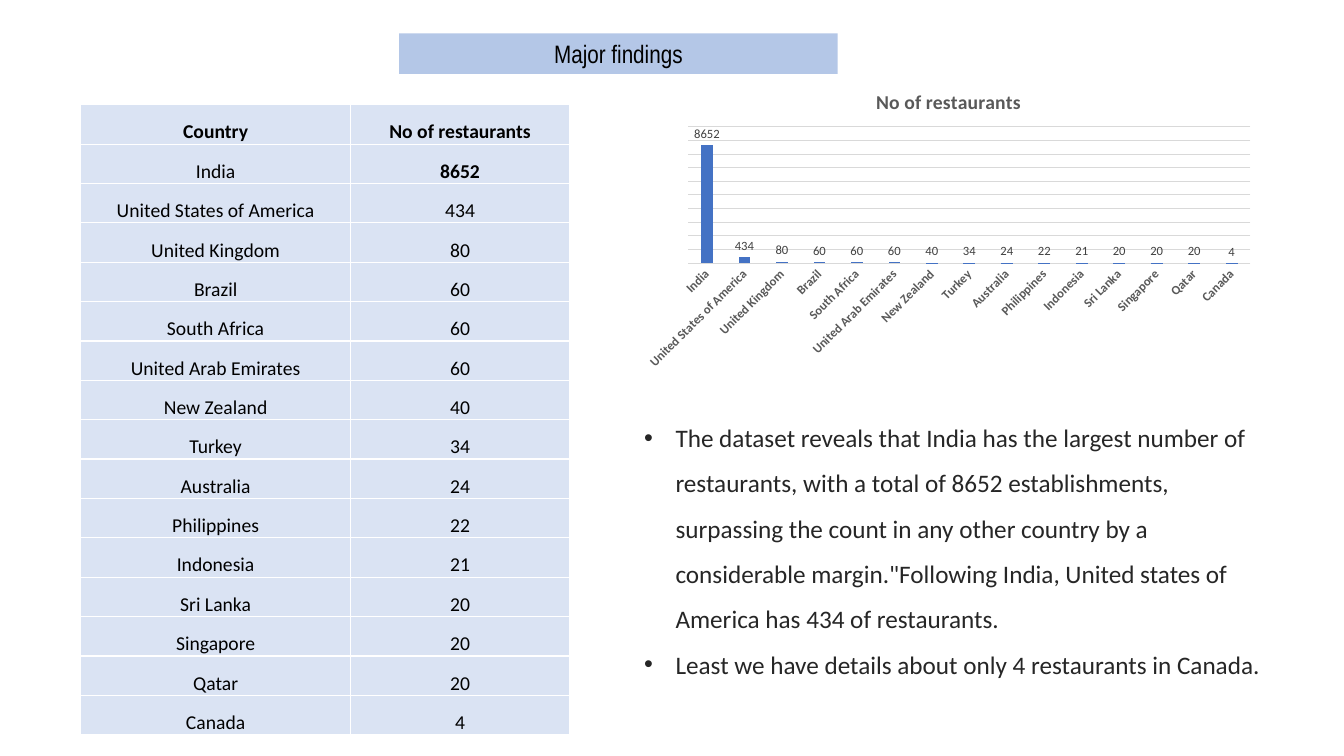
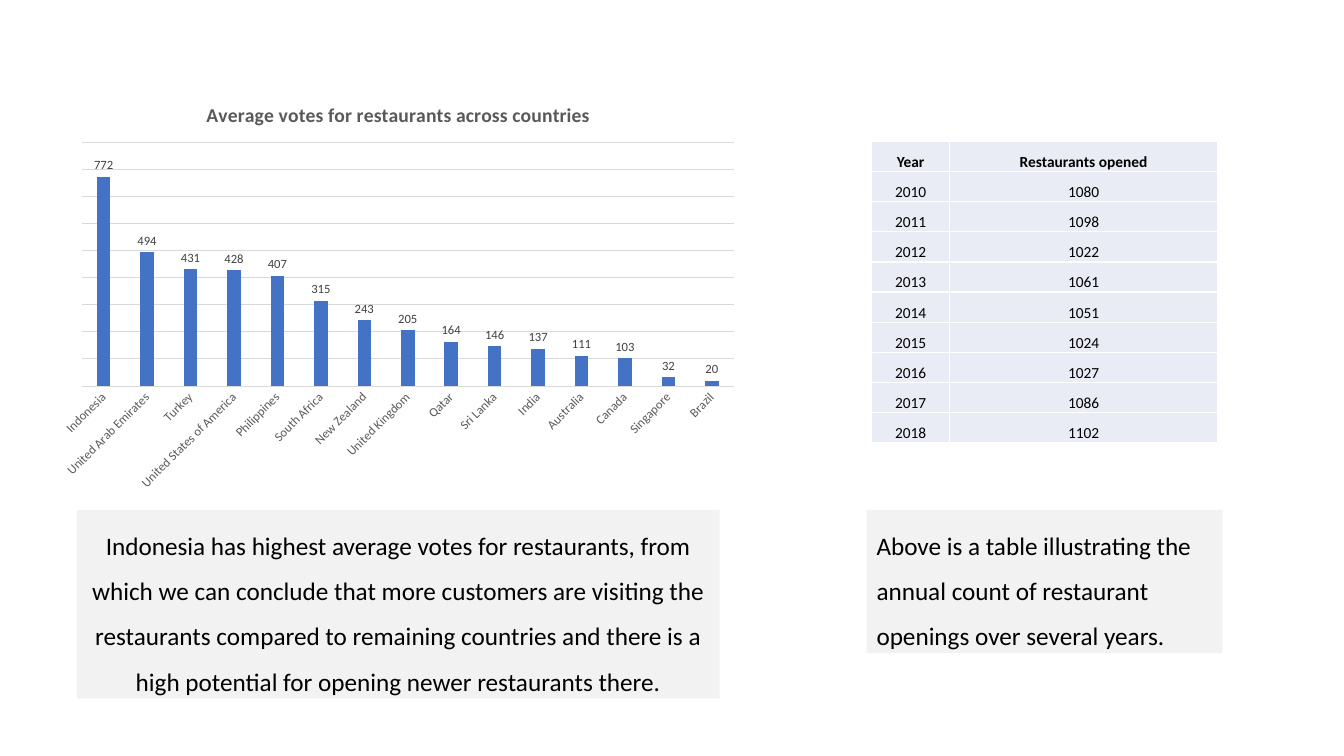
"""Build two slides of restaurant findings: counts, average votes and openings."""
from dataclasses import dataclass
from typing import Any

import lxml.etree
import pptx
import pptx.chart.data
import pptx.dml.color
import pptx.enum.chart
import pptx.enum.shapes
import pptx.enum.text
import pptx.oxml
import pptx.oxml.ns
import pptx.util

Cm = pptx.util.Cm
Pt = pptx.util.Pt
ALIGN = pptx.enum.text.PP_ALIGN
ANCHOR = pptx.enum.text.MSO_ANCHOR


@dataclass(frozen=True)
class Theme:
    """Colours, fonts and type sizes of the deck."""
    black: str = "000000"
    body_text: str = "262626"
    label_text: str = "404040"
    axis_text: str = "595959"
    grid: str = "D9D9D9"
    bar: str = "4472C4"
    title_band: str = "B4C7E7"
    count_fill: str = "DAE3F3"
    year_fill: str = "E9EBF5"
    caption_fill: str = "F2F2F2"
    border: str = "FFFFFF"
    title_font: str = "Arial Narrow"
    body_font: str = "Calibri"
    body_size: int = 18
    chart_title_size: int = 14
    chart_label_size: int = 9


THEME = Theme()


@dataclass(frozen=True)
class Box:
    """A place on the slide in centimetres."""
    left: float
    top: float
    width: float
    height: float

    def lengths(self) -> tuple:
        """Return left, top, width and height as lengths."""
        return tuple(Cm(v) for v in (self.left, self.top, self.width, self.height))


@dataclass(frozen=True)
class Caption:
    """A shaded paragraph below a chart or table."""
    box: Box
    text: str
    align: Any


@dataclass(frozen=True)
class TableLook:
    """Place, column widths, type size and fill of a table."""
    box: Box
    columns: tuple[float, ...]
    size: int
    fill: str
    bold_cells: frozenset = frozenset()


@dataclass(frozen=True)
class ColumnChart:
    """Content and scale of a column chart."""
    box: Box
    title: str
    series: str
    values: dict[str, int]
    top: int
    step: int
    bold_axis: bool = False


RESTAURANTS = {
    "India": 8652, "United States of America": 434, "United Kingdom": 80,
    "Brazil": 60, "South Africa": 60, "United Arab Emirates": 60,
    "New Zealand": 40, "Turkey": 34, "Australia": 24, "Philippines": 22,
    "Indonesia": 21, "Sri Lanka": 20, "Singapore": 20, "Qatar": 20, "Canada": 4,
}
VOTES = {
    "Indonesia": 772, "United Arab Emirates": 494, "Turkey": 431,
    "United States of America": 428, "Philippines": 407, "South Africa": 315,
    "New Zealand": 243, "United Kingdom": 205, "Qatar": 164, "Sri Lanka": 146,
    "India": 137, "Australia": 111, "Canada": 103, "Singapore": 32, "Brazil": 20,
}
OPENINGS = dict(zip(range(2010, 2019),
                    (1080, 1098, 1022, 1061, 1051, 1024, 1027, 1086, 1102)))
FINDINGS = (
    "The dataset reveals that India has the largest number of restaurants, with a total "
    "of 8652 establishments, surpassing the count in any other country by a considerable "
    "margin.\"Following India, United states of America has 434 of restaurants.",
    "Least we have details about only 4 restaurants in Canada.",
)
CAPTIONS = (
    Caption(Box(1.93, 12.85, 16.21, 4.75),
            "Indonesia has highest average votes for restaurants, from which we can conclude "
            "that more customers are visiting the restaurants compared to remaining countries "
            "and there is a high potential for opening newer restaurants there.", ALIGN.CENTER),
    Caption(Box(21.84, 12.85, 8.97, 3.61),
            "Above is a table illustrating the annual count of restaurant openings over "
            "several years.", ALIGN.LEFT),
)


def apply(target: Any, formats: dict[str, Any]) -> None:
    """Set each named attribute on the target."""
    for name, value in formats.items():
        setattr(target, name, value)


def rgb(colour: str) -> pptx.dml.color.RGBColor:
    """Turn a hex string into a colour."""
    return pptx.dml.color.RGBColor.from_string(colour)


def style_font(font: Any, size: int, colour: str, bold: bool = False,
               name: str = THEME.body_font) -> None:
    """Set face, size, weight and colour of a font."""
    apply(font, {"name": name, "size": Pt(size), "bold": bold})
    font.color.rgb = rgb(colour)


def fill_solid(target: Any, colour: str) -> None:
    """Give a shape, cell or bar one plain fill."""
    target.fill.solid()
    target.fill.fore_color.rgb = rgb(colour)


def place(shape: Any, box: Box) -> None:
    """Move and size a shape."""
    apply(shape, dict(zip(("left", "top", "width", "height"), box.lengths())))


def add_title(slide: Any, text: str, box: Box) -> None:
    """Fill the title placeholder and shade it as a band."""
    heading = slide.shapes.title
    place(heading, box)
    fill_solid(heading, THEME.title_band)
    heading.text_frame.text = text
    apply(heading.text_frame, {"auto_size": pptx.enum.text.MSO_AUTO_SIZE.NONE,
                               "vertical_anchor": ANCHOR.MIDDLE})
    line = heading.text_frame.paragraphs[0]
    line.alignment = ALIGN.CENTER
    style_font(line.font, THEME.body_size, THEME.black, name=THEME.title_font)


def add_findings(slide: Any, findings: tuple[str, ...], box: Box) -> None:
    """Fill the body placeholder with a bulleted list."""
    body = slide.placeholders[1]
    place(body, box)
    body.text_frame.text = "\n".join(findings)
    apply(body.text_frame, {"auto_size": pptx.enum.text.MSO_AUTO_SIZE.NONE,
                            "vertical_anchor": ANCHOR.TOP})
    for finding in body.text_frame.paragraphs:
        apply(finding, {"line_spacing": 1.5, "space_before": Pt(0), "alignment": ALIGN.LEFT})
        style_font(finding.font, THEME.body_size, THEME.body_text)
        properties = finding._p.get_or_add_pPr()
        properties.set("marL", str(Cm(0.79)))
        properties.set("indent", str(-Cm(0.79)))
        bullet = pptx.oxml.parse_xml(
            f'<a:buChar {pptx.oxml.ns.nsdecls("a")} char="•"/>')
        properties.insert_element_before(bullet, "a:tabLst", "a:defRPr", "a:extLst")


def add_caption(slide: Any, caption: Caption) -> None:
    """Draw a shaded caption."""
    panel = slide.shapes.add_shape(
        pptx.enum.shapes.MSO_SHAPE.RECTANGLE, *caption.box.lengths())
    panel.shadow.inherit = False
    fill_solid(panel, THEME.caption_fill)
    panel.line.fill.background()
    apply(panel.text_frame, {"word_wrap": True, "vertical_anchor": ANCHOR.TOP})
    panel.text_frame.text = caption.text
    line = panel.text_frame.paragraphs[0]
    apply(line, {"alignment": caption.align, "line_spacing": 1.5})
    style_font(line.font, THEME.body_size, THEME.black)


def border_cell(cell: Any) -> None:
    """Draw a thin line on all four sides of a cell."""
    properties = cell._tc.get_or_add_tcPr()
    for position, side in enumerate(("lnL", "lnR", "lnT", "lnB")):
        properties.insert(position, pptx.oxml.parse_xml(
            f'<a:{side} {pptx.oxml.ns.nsdecls("a")} w="{Pt(1)}"><a:solidFill>'
            f'<a:srgbClr val="{THEME.border}"/></a:solidFill></a:{side}>'))


def add_pairs_table(slide: Any, header: tuple[str, str], values: dict,
                    look: TableLook) -> None:
    """Draw a two-column table with equal rows."""
    rows = [header, *values.items()]
    table = slide.shapes.add_table(
        len(rows), len(header), *look.box.lengths()).table
    table.horz_banding = False
    for column, width in zip(table.columns, look.columns):
        column.width = Cm(width)
    for r, row in enumerate(rows):
        table.rows[r].height = Cm(look.box.height / len(rows))
        for c, value in enumerate(row):
            cell = table.cell(r, c)
            cell.text = str(value)
            apply(cell, {"vertical_anchor": ANCHOR.BOTTOM, "margin_left": Cm(0.03),
                         "margin_right": Cm(0.03), "margin_top": Cm(0.03),
                         "margin_bottom": 0})
            fill_solid(cell, look.fill)
            border_cell(cell)
            line = cell.text_frame.paragraphs[0]
            line.alignment = ALIGN.CENTER
            style_font(line.font, look.size, THEME.black,
                       r == 0 or (r, c) in look.bold_cells)


def add_column_chart(slide: Any, content: ColumnChart) -> None:
    """Draw a column chart with slanted category names."""
    data = pptx.chart.data.CategoryChartData(number_format="0")
    data.categories = list(content.values)
    data.add_series(content.series, list(content.values.values()))
    chart = slide.shapes.add_chart(
        pptx.enum.chart.XL_CHART_TYPE.COLUMN_CLUSTERED, *content.box.lengths(), data).chart
    apply(chart, {"has_legend": False, "has_title": True})
    style_font(chart.font, 10, THEME.black)
    chart.chart_title.include_in_layout = False
    chart.chart_title.text_frame.text = content.title
    style_font(chart.chart_title.text_frame.paragraphs[0].runs[0].font,
               THEME.chart_title_size, THEME.axis_text, True)

    plot = chart.plots[0]
    apply(plot, {"gap_width": 219, "overlap": -27, "vary_by_categories": False,
                 "has_data_labels": True})
    apply(plot.data_labels, {"show_value": True, "number_format": "0",
                             "number_format_is_linked": False,
                             "position": pptx.enum.chart.XL_LABEL_POSITION.OUTSIDE_END})
    style_font(plot.data_labels.font, THEME.chart_label_size, THEME.label_text)
    fill_solid(plot.series[0].format, THEME.bar)

    countries, scale = chart.category_axis, chart.value_axis
    countries.major_tick_mark = pptx.enum.chart.XL_TICK_MARK.NONE
    style_font(countries.tick_labels.font, THEME.chart_label_size,
               THEME.axis_text, content.bold_axis)
    countries._element.txPr.bodyPr.set("rot", "-2700000")
    apply(scale, {"visible": False, "has_major_gridlines": True, "minimum_scale": 0,
                  "maximum_scale": content.top, "major_unit": content.step})
    for line in (countries.format.line, scale.major_gridlines.format.line):
        line.width = Pt(0.75)
        line.color.rgb = rgb(THEME.grid)


def build_findings(deck: Any) -> None:
    """Build the slide on restaurants per country."""
    slide = deck.slides.add_slide(deck.slide_layouts[1])
    add_title(slide, "Major findings", Box(10.06, 0.84, 11.05, 1.02))
    add_findings(slide, FINDINGS, Box(15.98, 10.13, 16.28, 7.06))
    add_pairs_table(slide, ("Country", "No of restaurants"), RESTAURANTS,
                    TableLook(Box(2.03, 2.64, 12.32, 15.88), (6.81, 5.51), 14,
                              THEME.count_fill, frozenset({(1, 1)})))
    add_column_chart(slide, ColumnChart(
        Box(15.98, 1.85, 15.85, 7.62), "No of restaurants", "No of restaurants",
        RESTAURANTS, 10000, 1000, True))


def build_votes(deck: Any) -> None:
    """Build the slide on average votes and yearly openings."""
    slide = deck.slides.add_slide(deck.slide_layouts[6])
    add_column_chart(slide, ColumnChart(
        Box(1.24, 2.13, 17.6, 10.44), "Average votes for restaurants across countries",
        "Average votes", VOTES, 900, 100))
    add_pairs_table(slide, ("Year", "Restaurants opened"), OPENINGS,
                    TableLook(Box(21.97, 3.56, 8.72, 7.6), (1.96, 6.76), 11,
                              THEME.year_fill))
    for caption in CAPTIONS:
        add_caption(slide, caption)


def main() -> None:
    """Build and save the deck."""
    deck = pptx.Presentation()
    apply(deck, {"slide_width": Cm(33.87), "slide_height": Cm(19.05)})
    build_findings(deck)
    build_votes(deck)
    deck.save("out.pptx")


if __name__ == "__main__":
    main()
